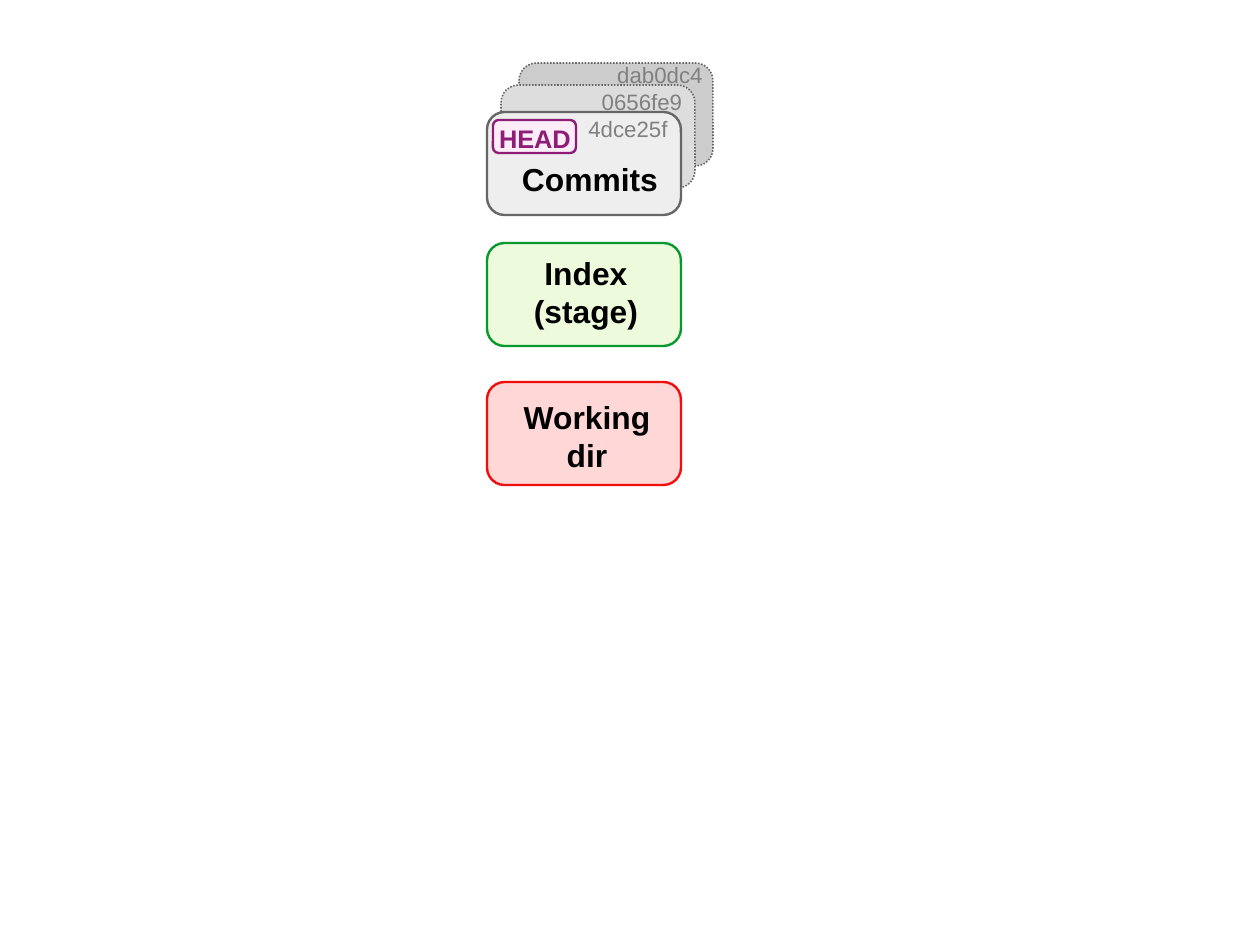
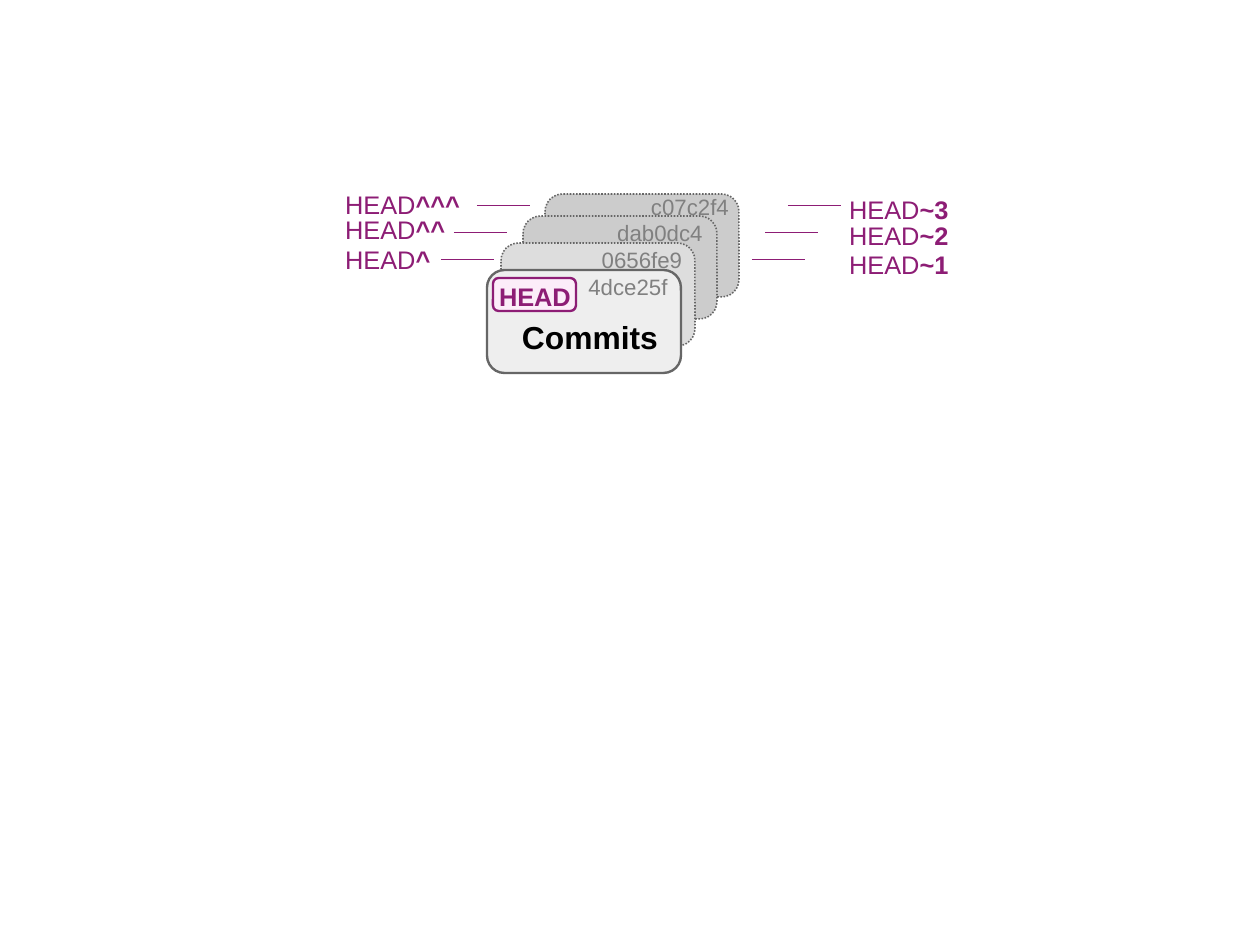
from dataclasses import dataclass
from typing import NamedTuple

from lxml.etree import SubElement
from pptx import Presentation
from pptx.dml.color import RGBColor
from pptx.enum.dml import MSO_LINE
from pptx.enum.shapes import MSO_CONNECTOR, MSO_SHAPE
from pptx.enum.text import PP_ALIGN
from pptx.oxml.ns import qn
from pptx.util import Pt

EMU_PER_PX = 8000


@dataclass(frozen=True)
class Theme:
    font: str = "Arial"
    ink: str = "000000"
    muted: str = "808080"
    head: str = "8D1D75"
    head_fill: str = "FCEDF9"
    commit: str = "666666"
    commit_fill: str = "EEEEEE"
    parent_fill: str = "DDDDDD"
    ancestor_fill: str = "CCCCCC"
    index: str = "069A2E"
    index_fill: str = "EEFADC"
    working: str = "F10D0C"
    working_fill: str = "FFD7D7"
    title_size: int = 20
    ref_size: int = 16
    hash_size: int = 14
    border: float = 1.5
    past_border: float = 1
    leader: float = 0.5


THEME = Theme()


class Box(NamedTuple):
    x: int
    y: int
    w: int
    h: int

    def inner(self, dx, dy, w, h):
        return Box(self.x + dx, self.y + dy, w, h)

    def shifted(self, dx, dy):
        return self.inner(dx, dy, self.w, self.h)


class Commit(NamedTuple):
    sha: str
    card_offset: tuple
    sha_offset: tuple
    fill: str


CURRENT = Commit("4dce25f", (0, 0), (86, -2), THEME.commit_fill)
PARENT = Commit("0656fe9", (14, -27), (100, -29), THEME.parent_fill)
GRANDPARENT = Commit("dab0dc4", (36, -54), (118, -56), THEME.ancestor_fill)
OLDEST = Commit("c07c2f4", (58, -76), (148, -82), THEME.ancestor_fill)


def px(*lengths):
    return [length * EMU_PER_PX for length in lengths]


def add_card(slide, box, fill, border, width=THEME.border, dashed=False):
    card = slide.shapes.add_shape(MSO_SHAPE.ROUNDED_RECTANGLE, *px(*box))
    card.shadow.inherit = False
    card.adjustments[0] = 0.17
    card.fill.solid()
    card.fill.fore_color.rgb = RGBColor.from_string(fill)
    card.line.color.rgb = RGBColor.from_string(border)
    card.line.width = Pt(width)
    if dashed:
        card.line.dash_style = MSO_LINE.ROUND_DOT


def add_label(slide, box, text, size, color, bold=False, align=PP_ALIGN.CENTER):
    frame = slide.shapes.add_textbox(*px(*box)).text_frame
    frame.word_wrap = True
    paragraph = frame.paragraphs[0]
    paragraph.text = text
    paragraph.alignment = align
    paragraph.font.name = THEME.font
    paragraph.font.size = Pt(size)
    paragraph.font.bold = bold
    paragraph.font.color.rgb = RGBColor.from_string(color)
    return paragraph


def add_title(slide, box, text):
    add_label(slide, box, text, THEME.title_size, THEME.ink, bold=True)


def add_leader(slide, x, y, length):
    leader = slide.shapes.add_connector(
        MSO_CONNECTOR.STRAIGHT, *px(x, y, x + length, y))
    leader.line.color.rgb = RGBColor.from_string(THEME.head)
    leader.line.width = Pt(THEME.leader)
    SubElement(leader._element.spPr, qn("a:effectLst"))


def add_commit_stack(slide, box, history):
    for commit in reversed(history):
        current = commit is CURRENT
        add_card(slide, box.shifted(*commit.card_offset), commit.fill, THEME.commit,
                 THEME.border if current else THEME.past_border, not current)
    add_title(slide, box.inner(23, 42, 160, 54), "Commits")
    add_card(slide, box.inner(6, 8, 83, 33), THEME.head_fill, THEME.head)
    add_label(slide, box.inner(-1, 6, 98, 40), "HEAD",
              THEME.ref_size, THEME.head, bold=True)
    for commit in history:
        add_label(slide, box.inner(*commit.sha_offset, 110, 40), commit.sha,
                  THEME.hash_size, THEME.muted)


def add_reference(slide, box, suffix):
    reference = add_label(slide, box, "HEAD", THEME.ref_size, THEME.head,
                          align=PP_ALIGN.LEFT)
    suffix_run = reference.add_run()
    suffix_run.text = suffix
    suffix_run.font.bold = True


def add_ancestor_references(slide, box):
    rows = [(-46, -11, -32), (-33, -38, -61), (-10, -65, -87)]
    for generation, (leader_x, leader_y, label_y) in enumerate(rows, start=1):
        sides = [("^" * generation, -153, 0, 0), (f"~{generation}", 351, 5, 311)]
        for suffix, label_x, label_drop, leader_shift in sides:
            add_reference(slide, box.inner(label_x, label_y + label_drop, 141, 41),
                          suffix)
            add_leader(slide, box.x + leader_x + leader_shift, box.y + leader_y, 53)


def build_areas_slide(slide, commits):
    index = commits.shifted(0, 131)
    working = commits.shifted(0, 270)
    add_card(slide, index, THEME.index_fill, THEME.index)
    add_title(slide, index.inner(27, 5, 144, 88), "Index\v(stage)")
    add_card(slide, working, THEME.working_fill, THEME.working)
    add_title(slide, working.inner(11, 10, 178, 82), "Working\vdir")
    nearer_grandparent = GRANDPARENT._replace(card_offset=(32, -49))
    add_commit_stack(slide, commits, [CURRENT, PARENT, nearer_grandparent])


def build_ancestors_slide(slide, commits):
    add_commit_stack(slide, commits, [CURRENT, PARENT, GRANDPARENT, OLDEST])
    add_ancestor_references(slide, commits)


def main():
    deck = Presentation()
    deck.slide_width, deck.slide_height = px(1260, 945)
    blank = deck.slide_layouts[6]
    build_areas_slide(deck.slides.add_slide(blank), Box(487, 112, 194, 103))
    build_ancestors_slide(deck.slides.add_slide(blank), Box(487, 270, 194, 103))
    deck.save("out.pptx")


if __name__ == "__main__":
    main()
